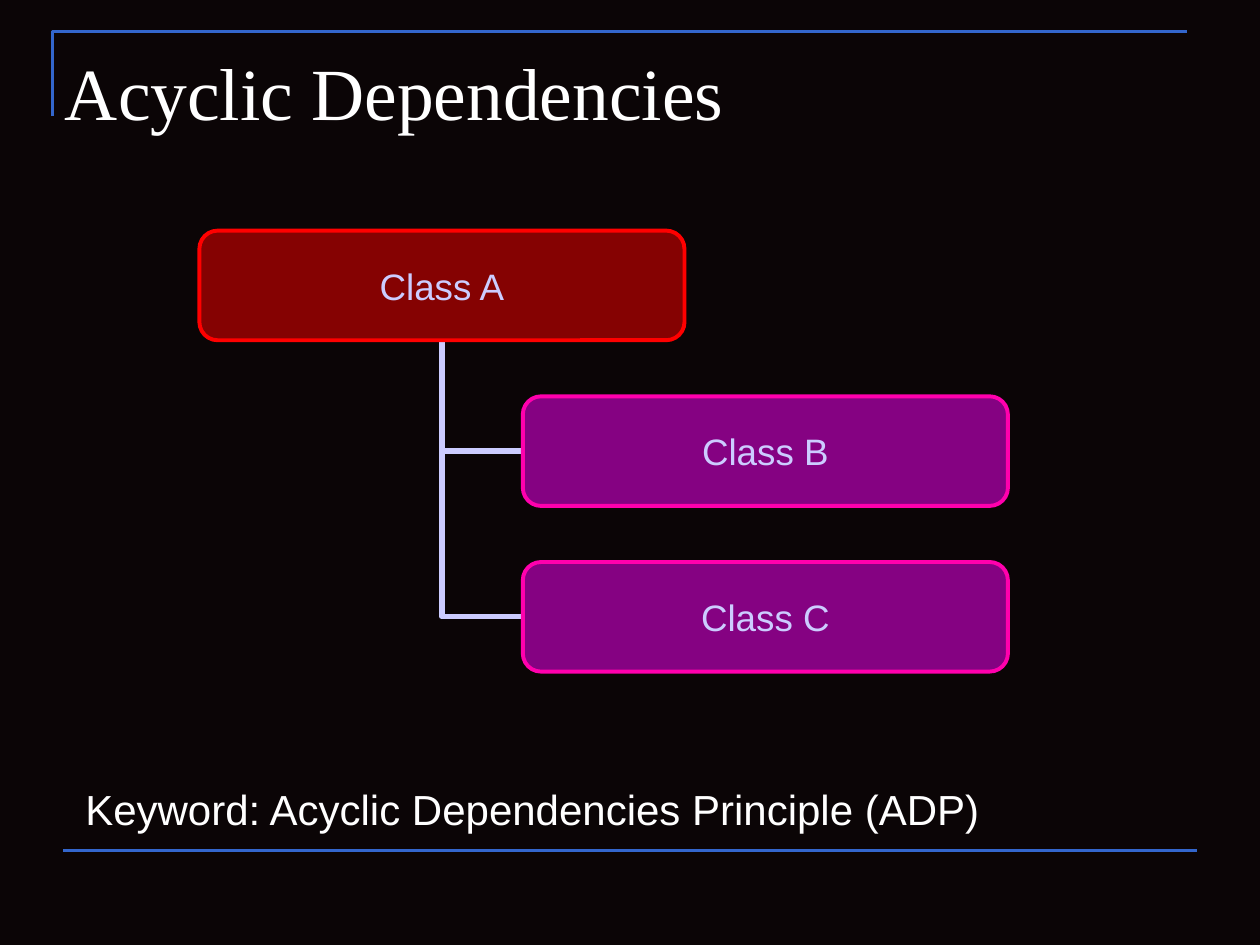
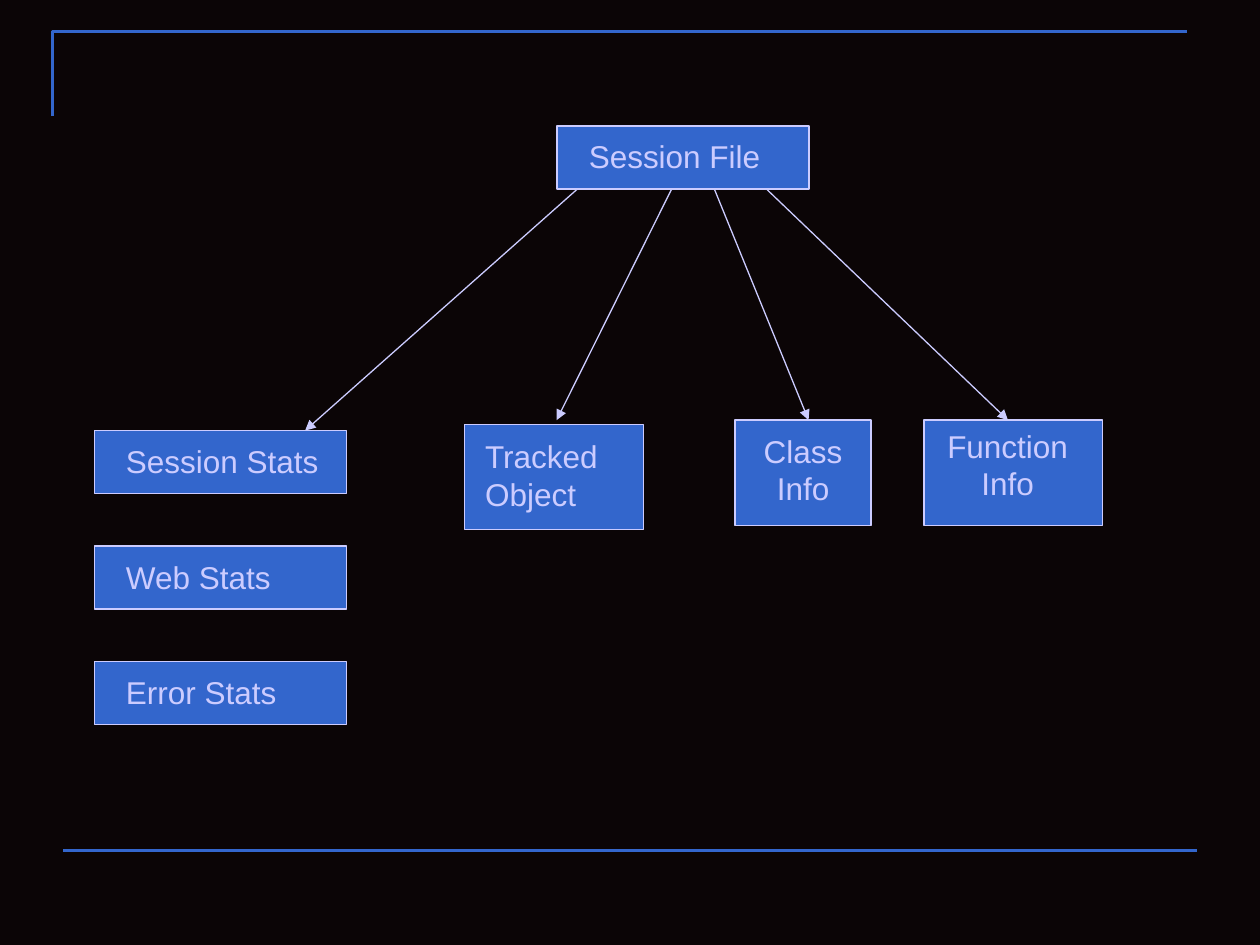
from lxml.etree import SubElement
from pptx import Presentation
from pptx.dml.color import RGBColor as RGB
from pptx.enum.shapes import MSO_CONNECTOR as Link, MSO_SHAPE as Kind
from pptx.enum.text import MSO_ANCHOR as Anchor, PP_ALIGN as Align
from pptx.oxml.ns import qn
from pptx.util import Cm, Pt

HUES = {"back": "0B0506", "blue": "3366CC", "pale": "CCCCFF", "white": "FFFFFF",
        "red": "FF0000", "purple": "FF00FF", "pink": "FF00AD"}
SANS, SERIF = "Arial", "Times New Roman"

TITLE = "Acyclic Dependencies"
KEYWORD = "Keyword: Acyclic Dependencies Principle (ADP)"
CLASSES = [("Class A", 4.02, "red", "red"),
           ("Class B", 10.54, "purple", "pink"),
           ("Class C", 10.54, "purple", "pink")]
CLASS_TOP, CLASS_STEP, CLASS_SIZE = 4.65, 3.34, (9.78, 2.21)

ROOT = ("Session File", 11.23, 2.54)
STATS = ["Session Stats", "Web Stats", "Error Stats"]
STAT_LEFT, STAT_TOP, STAT_STEP = 1.9, 8.68, 2.33
BAR_SIZE, BAR_PAD = (5.08, 1.27), (0.64, 0.23, 0)
INFOS = [("Tracked\nObject", (9.37, 8.56, 3.6, 2.12), (0.41, 0.25, 0), Align.LEFT),
         ("Class\nInfo", (14.82, 8.47, 2.74, 2.12), (0.25, 0.23, 0.25), Align.CENTER),
         ("Function\nInfo", (18.63, 8.47, 3.6, 2.12), (0.25, 0.13, 0.48), Align.CENTER)]
ARROWS = [(11.64, 6.15, 8.68), (13.54, 11.22, 8.47),
          (14.4, 16.3, 8.47), (15.45, 20.32, 8.47)]


def tint(name):
    return RGB.from_string(HUES[name])


def fill_text(shape, text, size, hue, face=SANS, align=Align.LEFT,
              pad=(0.25, 0.13, 0.25), anchor=Anchor.TOP):
    frame = shape.text_frame
    frame.word_wrap = True
    frame.vertical_anchor = anchor
    frame.margin_left, frame.margin_top, frame.margin_right = map(Cm, pad)
    frame.margin_bottom = 0
    frame.text = text
    for para in frame.paragraphs:
        para.alignment = align
        para.font.size = Pt(size)
        para.font.name = face
        para.font.color.rgb = tint(hue)


def add_box(slide, kind, area, fill, edge, width):
    box = slide.shapes.add_shape(kind, *map(Cm, area))
    box.shadow.inherit = False
    box.fill.solid()
    box.fill.fore_color.rgb = tint(fill)
    box.line.color.rgb = tint(edge)
    box.line.width = Pt(width)
    return box


def add_line(slide, ends, hue, width, kind=Link.STRAIGHT):
    line = slide.shapes.add_connector(kind, *map(Cm, ends))
    line.line.color.rgb = tint(hue)
    line.line.width = Pt(width)
    SubElement(line._element.spPr, qn("a:effectLst"))
    return line


def add_note(slide, area, *text, **style):
    fill_text(slide.shapes.add_textbox(*map(Cm, area)), *text, **style)


def new_slide(deck):
    slide = deck.slides.add_slide(deck.slide_layouts[6])
    pen = slide.shapes.build_freeform(Cm(1.06), Cm(2.34))
    pen.add_line_segments([(Cm(1.06), Cm(0.64)), (Cm(23.92), Cm(0.64))], close=False)
    rule = pen.convert_to_shape()
    rule.shadow.inherit = False
    rule.fill.background()
    rule.line.color.rgb = tint("blue")
    rule.line.width = Pt(1.5)
    add_line(slide, (1.27, 17.14, 24.13, 17.14), "blue", 1.5)
    return slide


def class_slide(deck):
    slide = new_slide(deck)
    add_note(slide, (1.06, 0.64, 22.86, 3.18), TITLE, 42, "white",
             face=SERIF, pad=(0.25, 0.3, 0.25))
    boxes = []
    for row, (name, left, fill, edge) in enumerate(CLASSES):
        area = (left, CLASS_TOP + row * CLASS_STEP, *CLASS_SIZE)
        box = add_box(slide, Kind.ROUNDED_RECTANGLE, area, fill, edge, 2.25)
        color = box._element.spPr.find(qn("a:solidFill"))[0]
        SubElement(color, qn("a:alpha"), val="50000")
        fill_text(box, name, 21, "pale", align=Align.CENTER, pad=(0, 0, 0),
                  anchor=Anchor.MIDDLE)
        boxes.append(box)
    top, *subs = boxes
    for sub in subs:
        wire = add_line(slide, (0, 0, 1, 1), "pale", 3, Link.ELBOW)
        wire.begin_connect(sub, 1)
        wire.end_connect(top, 2)
        wire._element.spPr.find(qn("a:prstGeom")).set("prst", "bentConnector2")
        slide.shapes._spTree.insert(2, wire._element)
    add_note(slide, (1.47, 15.67, 21.84, 1.27), KEYWORD, 24, "white")


def session_slide(deck):
    slide = new_slide(deck)
    bars = [ROOT] + [(name, STAT_LEFT, STAT_TOP + row * STAT_STEP)
                     for row, name in enumerate(STATS)]
    parts = INFOS + [(name, (left, top, *BAR_SIZE), BAR_PAD, Align.LEFT)
                     for name, left, top in bars]
    for name, area, pad, align in parts:
        box = add_box(slide, Kind.RECTANGLE, area, "blue", "pale", 0.75)
        fill_text(box, name, 18, "pale", align=align, pad=pad)
    start = ROOT[2] + BAR_SIZE[1]
    for left, right, end in ARROWS:
        arrow = add_line(slide, (left, start, right, end), "pale", 0.75)
        SubElement(arrow.line._get_or_add_ln(), qn("a:tailEnd"), type="triangle")


def main():
    deck = Presentation()
    deck.slide_width, deck.slide_height = Cm(25.4), Cm(19.05)
    back = deck.slide_master.background.fill
    back.solid()
    back.fore_color.rgb = tint("back")
    class_slide(deck)
    session_slide(deck)
    deck.save("out.pptx")


if __name__ == "__main__":
    main()
